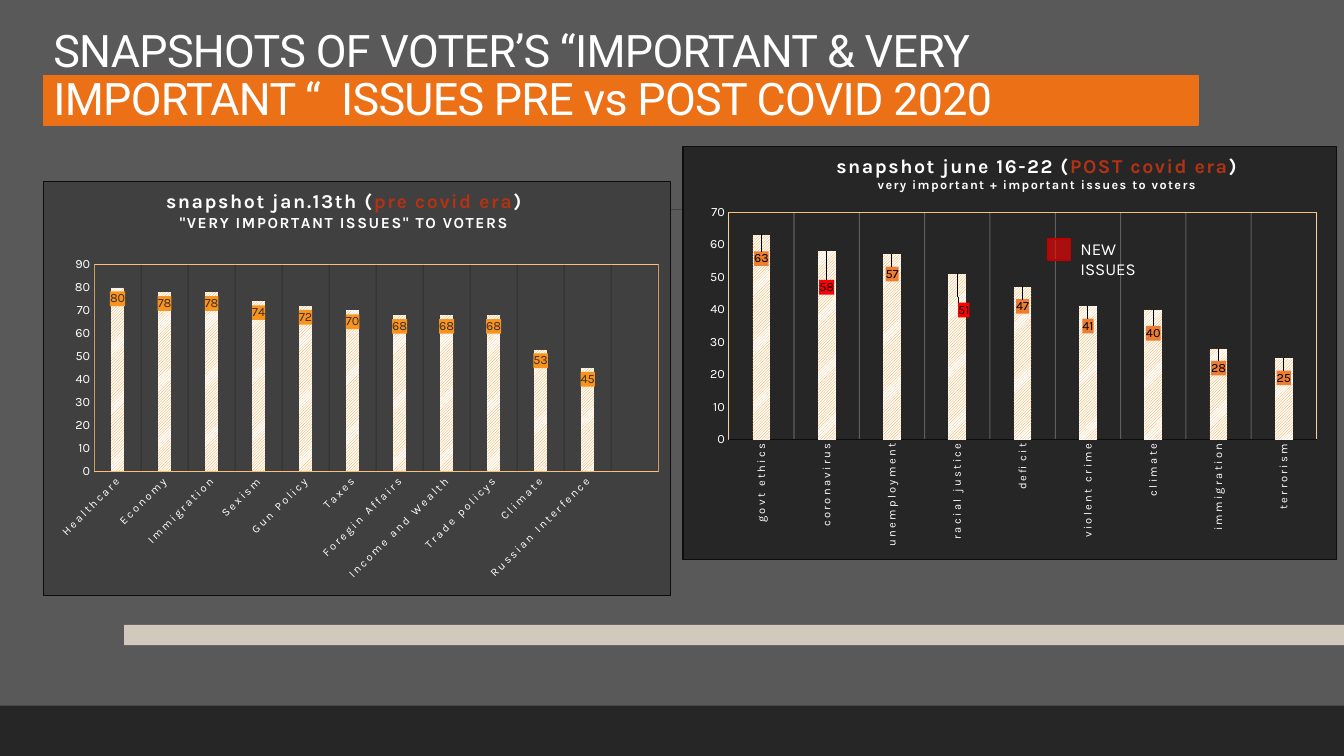
"""Build a slide comparing voter issues before and after covid in two column charts."""
from dataclasses import dataclass

import pptx
import pptx.chart.data
import pptx.dml.color
import pptx.enum.chart
import pptx.enum.dml
import pptx.enum.shapes
import pptx.enum.text
import pptx.oxml
import pptx.oxml.ns
import pptx.util

Pt = pptx.util.Pt
HUES = {
    "back": "595959", "foot": "262626", "rule": "404040", "band": "EC7016",
    "bar": "D1CABC", "white": "FFFFFF", "black": "000000", "edge": "0D0D0D",
    "stripe": "F8931D", "frame": "FBBE77", "tag": "ED7D31", "red": "FF0000",
    "dark": "C00000", "rust": "B23214", "brown": "39302A",
}
SPACES = pptx.oxml.ns.nsdecls("a", "c")


@dataclass
class Block:
    """A plain filled bar."""
    left: float
    top: float
    width: float
    height: float
    fill: str
    line: str | None = None
    alpha: int = 100


@dataclass
class Tag:
    """Look and shift of one value label."""
    fill: str
    drop: float = 0
    slide: float = 0


@dataclass
class Graph:
    """A column chart with its heading and labels."""
    box: tuple[float, float, float, float]
    fill: str
    grid: str
    axis: str
    ink: str
    peak: int
    turn: int
    head: tuple[float, float]
    plot: tuple[float, float, float, float]
    title: list[list[tuple[str, float, str]]]
    bars: list[tuple[str, int | None]]
    tags: list[Tag]


def hue(name: str) -> pptx.dml.color.RGBColor:
    """Return the named colour."""
    return pptx.dml.color.RGBColor.from_string(HUES[name])


def node(text: str):
    """Make an XML node whose first tag lacks its namespaces."""
    tag, rest = text[1:].split(">", 1)
    return pptx.oxml.parse_xml(f"<{tag} {SPACES}>{rest}")


def flat(name: str) -> str:
    """Return the XML of a solid fill, or of none for an empty name."""
    if not name:
        return "<a:noFill/>"
    return f'<a:solidFill><a:srgbClr val="{HUES[name]}"/></a:solidFill>'


def paint(fill: str, line: str):
    """Make chart shape properties with a fill and an outline."""
    return node(f'<c:spPr>{flat(fill)}<a:ln w="{int(Pt(0.75))}">{flat(line)}</a:ln></c:spPr>')


def place(spot: tuple[float, ...], mode: str = ""):
    """Make a manual chart layout."""
    parts = '<c:layoutTarget val="inner"/>' if len(spot) == 4 else ""
    if mode:
        parts += f'<c:xMode val="{mode}"/><c:yMode val="{mode}"/>'
    parts += "".join(f'<c:{key} val="{val}"/>' for key, val in zip("xywh", spot))
    return node(f"<c:layout><c:manualLayout>{parts}</c:manualLayout></c:layout>")


def write(para, text: str, *, size: float, tint: str = "white", face: str = "Karla",
          bold: bool = False, track: float = 0) -> None:
    """Add one formatted run."""
    run = para.add_run()
    run.text = text
    run.font.size, run.font.name, run.font.bold = Pt(size), face, bold
    run.font.color.rgb = hue(tint)
    run.font._element.set("spc", str(int(track * 100)))


def fade(mark, share: int) -> None:
    """Give a colour node an opacity in percent."""
    mark.append(node(f'<a:alpha val="{share * 1000}"></a:alpha>'))


def draw_block(slide, item: Block) -> None:
    """Draw a plain bar."""
    shape = slide.shapes.add_shape(pptx.enum.shapes.MSO_SHAPE.RECTANGLE, Pt(item.left),
                                   Pt(item.top), Pt(item.width), Pt(item.height))
    shape.shadow.inherit = False
    shape.fill.solid()
    shape.fill.fore_color.rgb = hue(item.fill)
    if item.alpha < 100:
        fade(shape.element.xpath("./p:spPr/a:solidFill/a:srgbClr")[0], item.alpha)
    if item.line:
        shape.line.color.rgb = hue(item.line)
        shape.line.width = Pt(1.25)
    else:
        shape.line.fill.background()


def draw_text(slide, box: tuple[float, ...], text: str, *, low: bool = False, **style) -> None:
    """Draw a wrapped text box."""
    frame = slide.shapes.add_textbox(*map(Pt, box)).text_frame
    frame.word_wrap = True
    if low:
        frame.vertical_anchor = pptx.enum.text.MSO_ANCHOR.BOTTOM
        frame.paragraphs[0].line_spacing = 0.9
    write(frame.paragraphs[0], text, **style)


def draw_graph(slide, item: Graph) -> None:
    """Draw a column chart."""
    data = pptx.chart.data.CategoryChartData()
    data.categories = [name for name, _ in item.bars]
    data.add_series("Series 1", [val for _, val in item.bars])
    chart = slide.shapes.add_chart(pptx.enum.chart.XL_CHART_TYPE.COLUMN_CLUSTERED,
                                   *map(Pt, item.box), data).chart
    chart.has_legend = False
    chart.font.size, chart.font.name = Pt(10), "Karla"
    frame = chart.chart_title.text_frame
    for row, line in enumerate(item.title):
        para = frame.add_paragraph() if row else frame.paragraphs[0]
        for text, size, tint in line:
            write(para, text, size=size, tint=tint, bold=True, track=1)

    cats, vals = chart.category_axis, chart.value_axis
    for axis, size in ((cats, 8), (vals, 9)):
        axis.major_tick_mark = axis.minor_tick_mark = pptx.enum.chart.XL_TICK_MARK.NONE
        font = axis.tick_labels.font
        font.size, font.name = Pt(size), "Karla"
        font.color.rgb = hue("white")
    vals.has_major_gridlines = False
    vals.minimum_scale, vals.maximum_scale, vals.major_unit = 0, item.peak, 10
    vals.format.line.fill.background()
    cats.format.line.color.rgb = hue(item.axis)
    cats.format.line.width = Pt(0.25)
    cats.has_major_gridlines = True
    grid = cats.major_gridlines.format.line
    grid.color.rgb, grid.width = hue(item.grid), Pt(0.75)

    root = chart.element
    fade(root.xpath(".//c:majorGridlines//a:srgbClr")[0], 25)
    root.xpath(".//c:catAx/c:txPr/a:bodyPr")[0].set("rot", str(item.turn * 60000))
    root.xpath(".//c:catAx/c:txPr//a:defRPr")[0].set("spc", "150")
    area, title = root.xpath(".//c:plotArea")[0], root.xpath("./c:chart/c:title")[0]
    for old in area.xpath("./c:layout") + title.xpath("./c:layout"):
        old.getparent().remove(old)
    area.insert(0, place(item.plot, "edge"))
    area.append(paint("", "frame"))
    title.xpath("./c:tx")[0].addnext(place(item.head, "edge"))
    root.xpath("./c:chart")[0].addnext(paint(item.fill, "edge"))

    plot = chart.plots[0]
    plot.gap_width, plot.overlap, plot.vary_by_categories = 269, -20, False
    bars = plot.series[0]
    fill = bars.format.fill
    fill.patterned()
    fill.pattern = pptx.enum.dml.MSO_PATTERN.LIGHT_UPWARD_DIAGONAL
    fill.fore_color.rgb, fill.back_color.rgb = hue("stripe"), hue("white")
    for spot, tag in enumerate(item.tags):
        label = bars.points[spot].data_label
        label.position = pptx.enum.chart.XL_LABEL_POSITION.INSIDE_END
        label.font.size, label.font.name = Pt(9), "Karla"
        label.font.color.rgb = hue(item.ink)
        mark = root.xpath(f".//c:dLbl[c:idx/@val='{spot}']")[0]
        mark.xpath("./c:txPr")[0].addprevious(paint(tag.fill, ""))
        if tag.drop:
            mark.xpath("./c:idx")[0].addnext(place((tag.slide, tag.drop)))


POST = Graph(
    (487.5, 104, 467.3, 296), "foot", "white", "edge", "black", 70, -90,
    (0.23, 0.01), (0.07, 0.16, 0.9, 0.55),
    [[("snapshot june 16-22 (", 14, "white"), ("POST covid era", 14, "rust"), (")", 14, "white")],
     [("very important + important issues to voters", 9, "white")]],
    [("govt ethics", 63), ("coronavirus", 58), ("unemployment", 57), ("racial justice", 51),
     ("deficit", 47), ("violent crime", 41), ("climate", 40), ("immigration", 28),
     ("terrorism", 25)],
    [Tag("tag", 0.03), Tag("red", 0.06), Tag("tag", 0.02), Tag("red", 0.06, 0.01),
     Tag("tag", 0.02), Tag("tag", 0.02), Tag("tag", 0.03), Tag("tag", 0.02), Tag("tag", 0.02)])
PRE = Graph(
    (31, 129.6, 448.5, 296), "rule", "black", "frame", "brown", 90, -45,
    (0.19, 0.01), (0.08, 0.2, 0.9, 0.5),
    [[("snapshot jan.13th (", 14, "white"), ("pre covid era", 14, "rust"), (")", 14, "white")],
     [('"VERY IMPORTANT ISSUES" TO VOTERS', 11, "white")]],
    [("Healthcare", 80), ("Economy", 78), ("Immigration", 78), ("Sexism", 74),
     ("Gun Policy", 72), ("Taxes", 70), ("Foregin Affairs", 68), ("Income and Wealth", 68),
     ("Trade policys", 68), ("Climate", 53), ("Russian Interfence", 45), ("", None)],
    [Tag("stripe")] * 11)


def main() -> None:
    """Build and save the slide."""
    deck = pptx.Presentation()
    deck.slide_width, deck.slide_height = Pt(960), Pt(540)
    slide = deck.slides.add_slide(deck.slide_layouts[6])
    slide.background.fill.solid()
    slide.background.fill.fore_color.rgb = hue("back")
    draw_block(slide, Block(0, 504, 960, 36, "foot"))
    rule = slide.shapes.add_connector(pptx.enum.shapes.MSO_CONNECTOR.STRAIGHT,
                                      Pt(94.3), Pt(149.8), Pt(879), Pt(149.8))
    rule.line.color.rgb, rule.line.width = hue("rule"), Pt(1)
    rule.element.spPr.append(node("<a:effectLst></a:effectLst>"))
    draw_block(slide, Block(31, 54, 825, 35.3, "band", "band"))
    draw_text(slide, (31, 7, 820, 86),
              "SNAPSHOTS OF VOTER’S “IMPORTANT & VERY IMPORTANT “  ISSUES PRE vs POST COVID 2020",
              low=True, size=32, face="Roboto", track=-0.5)
    for graph in (POST, PRE):
        draw_graph(slide, graph)
    draw_block(slide, Block(748.8, 170.6, 15.8, 15.1, "red", "dark", 60))
    draw_text(slide, (764.6, 167, 62, 36), "NEW ISSUES", size=12)
    draw_block(slide, Block(88.6, 446.4, 871.4, 14.4, "bar"))
    deck.save("out.pptx")


if __name__ == "__main__":
    main()
